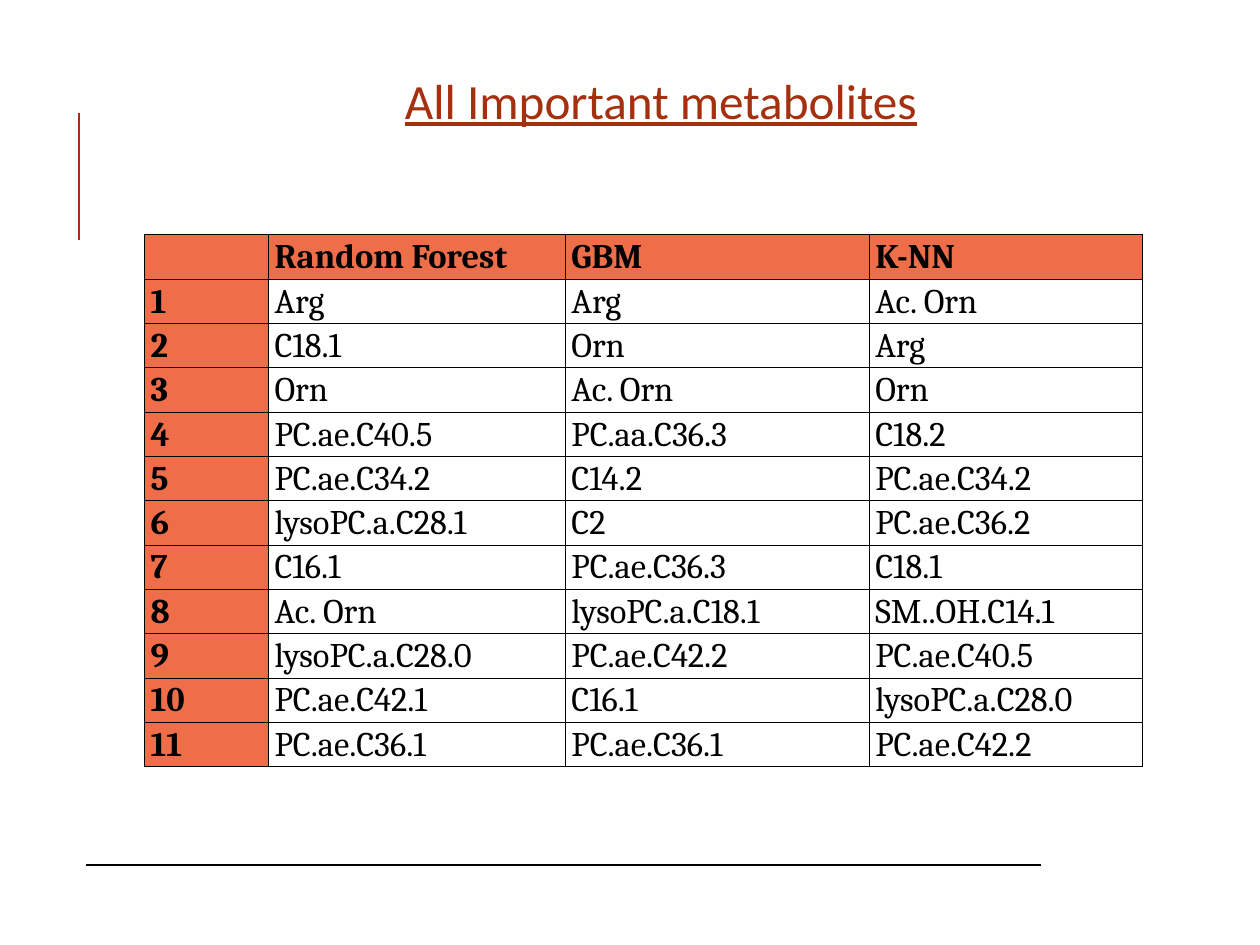
from dataclasses import dataclass

from lxml.etree import SubElement
from pptx import Presentation
from pptx.dml.color import RGBColor
from pptx.enum.shapes import MSO_CONNECTOR
from pptx.enum.text import MSO_AUTO_SIZE, PP_ALIGN
from pptx.oxml.ns import qn
from pptx.slide import Slide
from pptx.table import _Cell
from pptx.text.text import _Paragraph
from pptx.util import Inches, Pt

COLORS = {"rust": "A5300F", "coral": "EE6E4A", "black": "000000"}
BORDER_WIDTH = Pt(1)
ROW_HEIGHT = 0.49
COLUMN_WIDTHS = (1.4, 3.35, 3.43, 3.08)

RANKINGS = {
    "Random Forest": (
        "Arg", "C18.1", "Orn", "PC.ae.C40.5", "PC.ae.C34.2", "lysoPC.a.C28.1",
        "C16.1", "Ac. Orn", "lysoPC.a.C28.0", "PC.ae.C42.1", "PC.ae.C36.1",
    ),
    "GBM": (
        "Arg", "Orn", "Ac. Orn", "PC.aa.C36.3", "C14.2", "C2",
        "PC.ae.C36.3", "lysoPC.a.C18.1", "PC.ae.C42.2", "C16.1", "PC.ae.C36.1",
    ),
    "K-NN": (
        "Ac. Orn", "Arg", "Orn", "C18.2", "PC.ae.C34.2", "PC.ae.C36.2",
        "C18.1", "SM..OH.C14.1", "PC.ae.C40.5", "lysoPC.a.C28.0", "PC.ae.C42.2",
    ),
}


@dataclass(frozen=True)
class Rule:
    start: tuple[float, float]
    end: tuple[float, float]
    color: str
    width: float


RULES = (
    Rule((0.89, 2.71), (0.89, 1.28), "rust", 1.5),
    Rule((0.97, 9.76), (11.75, 9.76), "black", 1.25),
)


def rgb(name: str) -> RGBColor:
    return RGBColor.from_string(COLORS[name])


def draw_rule(slide: Slide, rule: Rule) -> None:
    x1, y1, x2, y2 = map(Inches, rule.start + rule.end)
    connector = slide.shapes.add_connector(MSO_CONNECTOR.STRAIGHT, x1, y1, x2, y2)
    connector.line.color.rgb = rgb(rule.color)
    connector.line.width = Pt(rule.width)
    SubElement(connector._element.spPr, qn("a:effectLst"))


def style_text(paragraph: _Paragraph, font_name: str, size: int, color: str) -> None:
    for run in paragraph.runs:
        run.font.name = font_name
        run.font.size = Pt(size)
        run.font.color.rgb = rgb(color)


def draw_title(slide: Slide) -> None:
    title = slide.shapes.add_textbox(
        Inches(0.98), Inches(0.74), Inches(12.96), Inches(0.77)
    )
    frame = title.text_frame
    frame.word_wrap = True
    frame.auto_size = MSO_AUTO_SIZE.SHAPE_TO_FIT_TEXT
    frame.text = "All Important metabolites"
    heading = frame.paragraphs[0]
    heading.alignment = PP_ALIGN.CENTER
    style_text(heading, "Calibri", 40, "rust")
    heading.runs[0].font.underline = True


def add_borders(cell: _Cell) -> None:
    properties = cell._tc.get_or_add_tcPr()
    for side in ("a:lnL", "a:lnR", "a:lnT", "a:lnB"):
        border = SubElement(properties, qn(side), w=str(BORDER_WIDTH))
        fill = SubElement(border, qn("a:solidFill"))
        SubElement(fill, qn("a:srgbClr"), val=COLORS["black"])


def fill_cell(cell: _Cell, text: str, is_header: bool) -> None:
    add_borders(cell)
    if is_header:
        cell.fill.solid()
        cell.fill.fore_color.rgb = rgb("coral")
    else:
        cell.fill.background()
    cell.margin_left = cell.margin_right = Inches(0.07)
    cell.margin_top = cell.margin_bottom = 0
    cell.text_frame.text = text
    entry = cell.text_frame.paragraphs[0]
    entry.alignment = PP_ALIGN.JUSTIFY
    entry.line_spacing = 1.07
    style_text(entry, "Cambria", 28, "black")
    for run in entry.runs:
        run.font.bold = is_header


def draw_rankings(slide: Slide) -> None:
    ranked = enumerate(zip(*RANKINGS.values()), start=1)
    rows = [("", *RANKINGS)] + [(str(rank), *names) for rank, names in ranked]
    rankings = slide.shapes.add_table(
        len(rows), len(COLUMN_WIDTHS), Inches(1.63), Inches(2.65),
        Inches(sum(COLUMN_WIDTHS)), Inches(ROW_HEIGHT * len(rows)),
    ).table
    rankings.horz_banding = False
    for column, width in zip(rankings.columns, COLUMN_WIDTHS):
        column.width = Inches(width)
    for r, row in enumerate(rows):
        rankings.rows[r].height = Inches(ROW_HEIGHT)
        for c, text in enumerate(row):
            fill_cell(rankings.cell(r, c), text, r == 0 or c == 0)


def main() -> None:
    deck = Presentation()
    deck.slide_width = Inches(14.22)
    deck.slide_height = Inches(10.66)
    slide = deck.slides.add_slide(deck.slide_layouts[6])
    for rule in RULES:
        draw_rule(slide, rule)
    draw_title(slide)
    draw_rankings(slide)
    deck.save("out.pptx")


if __name__ == "__main__":
    main()
